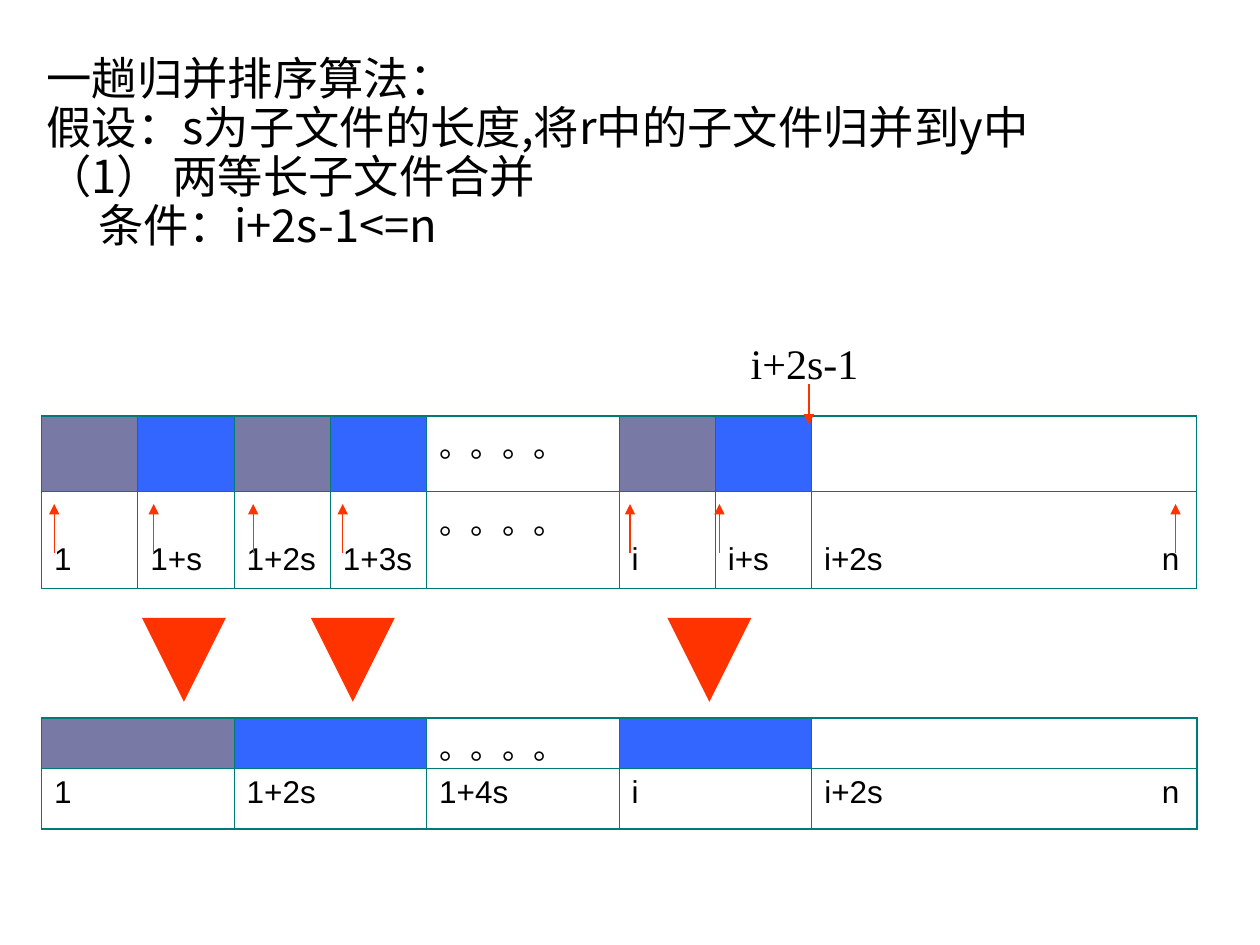
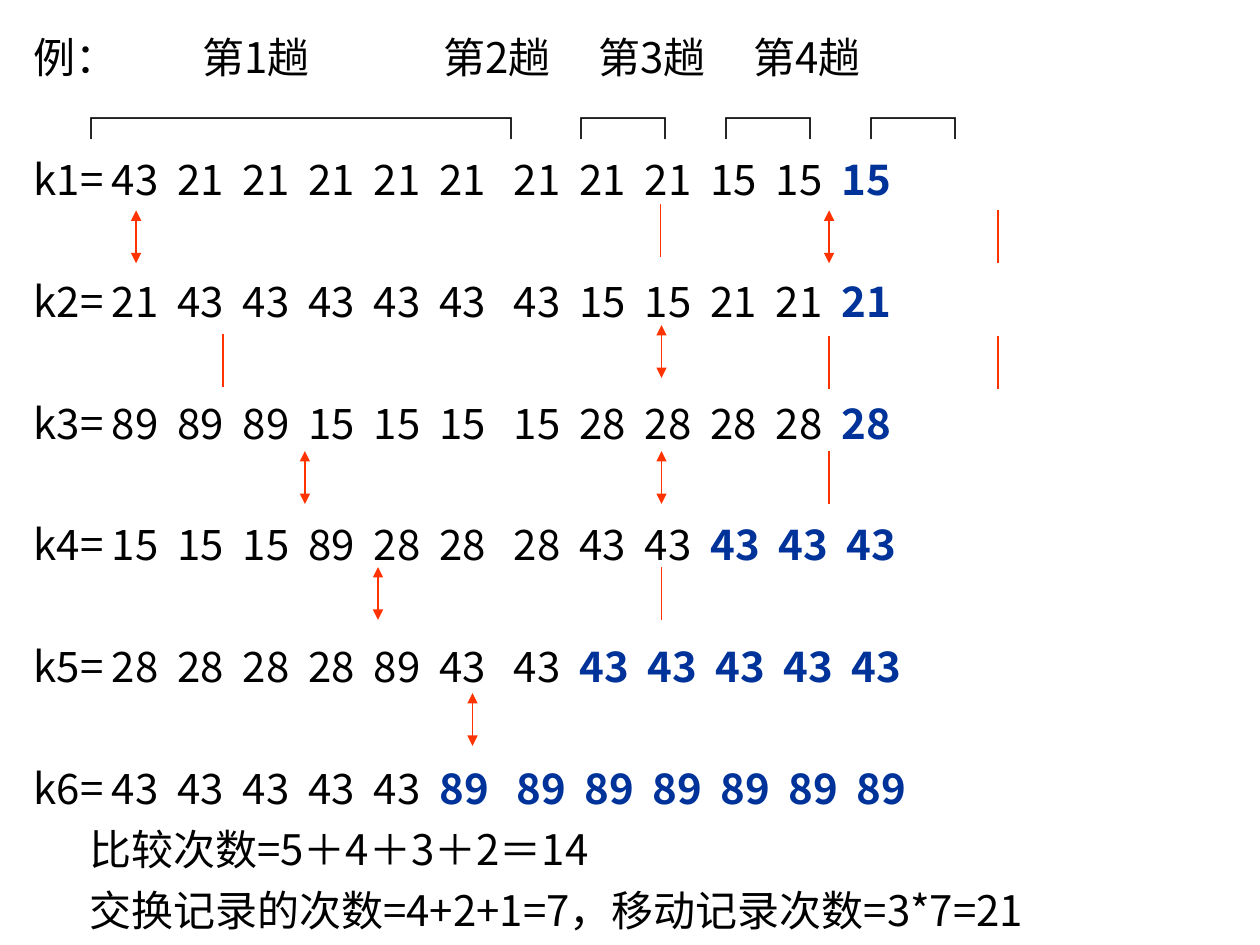
from collections import namedtuple
from dataclasses import dataclass

from lxml import etree
from pptx import Presentation
from pptx.dml.color import RGBColor as RGB
from pptx.enum.shapes import MSO_CONNECTOR as Connector
from pptx.oxml.ns import qn
from pptx.util import Inches, Pt


@dataclass(frozen=True)
class Theme:
    ink: str = "000000"
    sorted_key: str = "003399"
    arrow: str = "FF3300"
    grid: str = "007A77"
    grey: str = "7979A5"
    blue: str = "3366FF"
    cjk: str = "Noto Sans CJK SC"
    cell: str = "Arial"
    label: str = "Times New Roman"
    intro_size: float = 25.9
    body_size: float = 24
    cell_size: float = 18
    thin: float = 0.75
    fat: float = 16
    inner: float = 0.45
    outer: float = 1.08


THEME = Theme()
Box = namedtuple("Box", "left top width height")
Run = namedtuple("Run", "text color bold", defaults=(THEME.ink, False))
Line = namedtuple("Line", "runs tabs before", defaults=((), 0))


def plain(text, *tabs):
    return Line([Run(text)], tabs)


# Shared helpers
def write(frame, lines, font, size, pitch=None, margins=(0.1, 0.05, 0.1, 0.05)):
    """Fill a text frame, one Line a paragraph; pitch is an exact line height."""
    frame.word_wrap = True
    (frame.margin_left, frame.margin_top,
     frame.margin_right, frame.margin_bottom) = map(Inches, margins)
    for index, line in enumerate(lines):
        paragraph = frame.add_paragraph() if index else frame.paragraphs[0]
        if line.tabs:
            stops = etree.SubElement(paragraph._p.get_or_add_pPr(), qn("a:tabLst"))
            for stop in line.tabs:
                etree.SubElement(stops, qn("a:tab"), pos=str(Inches(stop)), algn="l")
        if pitch:
            paragraph.line_spacing = Pt(pitch)
        if line.before:
            paragraph.space_before = Pt(line.before)
        for text, color, bold in line.runs:
            run = paragraph.add_run()
            run.text = text
            run.font.name, run.font.size, run.font.bold = font, Pt(size), bold
            run.font.color.rgb = RGB.from_string(color)
            etree.SubElement(run._r.get_or_add_rPr(), qn("a:ea"), typeface=THEME.cjk)


def text_box(slide, box, lines, **text_format):
    frame = slide.shapes.add_textbox(*map(Inches, box)).text_frame
    write(frame, lines, **text_format)


def arrow(slide, x, start, end, width=THEME.thin, heads=("tailEnd",)):
    """Vertical line at x; heads names the ends that carry a triangle."""
    line = slide.shapes.add_connector(
        Connector.STRAIGHT, *map(Inches, (x, start, x, end)))
    line.line.color.rgb = RGB.from_string(THEME.arrow)
    line.line.width = Pt(width)
    for head in heads:
        etree.SubElement(line.line._get_or_add_ln(), qn("a:" + head), type="triangle")
    etree.SubElement(line._element.spPr, qn("a:effectLst"))


def set_borders(cell, widths):
    """Draw left, right, top and bottom borders ahead of the cell's fill."""
    properties = cell._tc.get_or_add_tcPr()
    for index, (side, width) in enumerate(zip("LRTB", widths)):
        border = etree.Element(qn("a:ln" + side), w=str(Pt(width)))
        fill = etree.SubElement(border, qn("a:solidFill"))
        etree.SubElement(fill, qn("a:srgbClr"), val=THEME.grid)
        properties.insert(index, border)


# Slide 1: merging equal runs
DOTS = "。。。。"
LAST_LABEL = "i+2s\tn"


def file_table(slide, box, units, row_heights, fills, labels, label_top):
    """Table of subfiles: coloured blocks above, start positions below."""
    table = slide.shapes.add_table(2, len(units), *map(Inches, box)).table
    table.first_row = table.horz_banding = False
    for column, unit in zip(table.columns, units):
        column.width = Inches(box.width * unit / sum(units))
    for row, height in zip(table.rows, row_heights):
        row.height = Inches(height)
    last = len(units) - 1
    for column in range(len(units)):
        block, position = table.cell(0, column), table.cell(1, column)
        fill, label = fills[column], labels[column]
        position.fill.background()
        if fill in (None, DOTS):
            block.fill.background()
        else:
            block.fill.solid()
            block.fill.fore_color.rgb = RGB.from_string(fill)
        for cell, text, top in (
                (block, DOTS if fill == DOTS else "", 0.04),
                (position, label, 0.05 if label == DOTS else label_top)):
            frame = cell.text_frame
            write(frame, [plain(text, *([2.68] if "\t" in text else []))],
                  THEME.cell, THEME.cell_size)
            cell.margin_left = cell.margin_right = Inches(0.1)
            cell.margin_top, cell.margin_bottom = Inches(top), 0
            on_edge = (column == 0, column == last, cell is block, cell is position)
            set_borders(cell, [THEME.outer if edge else THEME.inner for edge in on_edge])


def source_file(slide, box):
    grey, blue = THEME.grey, THEME.blue
    file_table(slide, box, [1, 1, 1, 1, 2, 1, 1, 4], [0.6, 0.77],
               [grey, blue, grey, blue, DOTS, grey, blue, None],
               ["1", "1+s", "1+2s", "1+3s", DOTS, "i", "i+s", LAST_LABEL], 0.4)
    # Pointers to the run starts
    for x in (0.1, 0.89, 1.68, 2.39, 4.67, 5.38, 9):
        arrow(slide, box.left + x, box.top + 1.09, box.top + 0.7)
    # End of the second run
    text_box(slide, Box(box.left + 5.53, box.top - 0.67, 1.18, 0.5),
             [plain("i+2s-1")], font=THEME.label, size=THEME.body_size)
    arrow(slide, box.left + 6.09, box.top - 0.25, box.top + 0.07)


def merged_file(slide, box):
    file_table(slide, box, [2, 2, 2, 2, 4], [0.4, 0.48],
               [THEME.grey, THEME.blue, DOTS, THEME.blue, None],
               ["1", "1+2s", "1+4s", "i", LAST_LABEL], 0.05)
    # Merge arrows from the source file
    for x in (1.13, 2.47, 5.3):
        arrow(slide, box.left + x, box.top - 0.68, box.top - 0.13, THEME.fat)


def merge_slide(slide):
    text_box(slide, Box(0.27, 0.39, 9.29, 1.73), [
        plain("一趟归并排序算法："),
        plain("假设：s为子文件的长度,将r中的子文件归并到y中"),
        plain("（1） 两等长子文件合并"),
        plain("\t条件：i+2s-1<=n", 0.41),
    ], font=THEME.cjk, size=THEME.intro_size, pitch=28)
    source_file(slide, Box(0.33, 3.3, 9.17, 1.37))
    merged_file(slide, Box(0.33, 5.7, 9.17, 0.88))


# Slide 2: bubble sort passes
PITCH = 34.8
KEYS = [  # keys over time, and how many at the end are in final place
    ("43 21 21 21 21 21 21 21 21 15 15 15", 1),
    ("21 43 43 43 43 43 43 15 15 21 21 21", 1),
    ("89 89 89 15 15 15 15 28 28 28 28 28", 1),
    ("15 15 15 89 28 28 28 43 43 43 43 43", 3),
    ("28 28 28 28 89 43 43 43 43 43 43 43", 5),
    ("43 43 43 43 43 89 89 89 89 89 89 89", 7),
]
SWAPS = [(1.08, 1.67), (2.42, 3.58), (3.75, 5.5), (5.25, 2.58),
         (5.25, 3.58), (6.58, 1.67), (3, 4.5)]
COMPARES = [(5.25, 4.5), (6.58, 2.67), (6.58, 3.58), (7.92, 1.67),
            (7.92, 2.67), (1.77, 2.65), (5.24, 1.62)]


def key_line(number, keys, settled):
    """One key's row; bold keys are wider, and pass 1 ends after six keys."""
    keys = keys.split()
    moving = len(keys) - settled
    tabs, x = [], 0.62
    for index in range(len(keys)):
        tabs.append(x)
        x += (0.52 if index < moving else 0.54) + (0.07 if index == 5 else 0)
    return Line([Run("\t".join([f"k{number}="] + keys[:moving]) + "\t"),
                 Run("\t".join(keys[moving:]), THEME.sorted_key, True)],
                tabs, PITCH if number > 1 else 0)


def trace(slide, box):
    passes = "\t".join(f"第{number}趟" for number in range(1, 5))
    brackets = "\t".join(["┌─────────┐"] + ["┌─┐"] * 3)
    lines = [plain("例：\t" + passes, 1.34, *(3.25 + 1.23 * i for i in range(3))),
             plain("\t" + brackets, 0.29, *(4.18 + 1.15 * i for i in range(3)))]
    lines += [key_line(number, *row) for number, row in enumerate(KEYS, 1)]
    lines += [plain("\t" + total, 0.44) for total in (
        "比较次数=5＋4＋3＋2＝14",
        "交换记录的次数=4+2+1=7，移动记录次数=3*7=21")]
    text_box(slide, box, lines, font=THEME.cjk, size=THEME.body_size,
             pitch=PITCH, margins=(0.1, 0, 0.1, 0))


def comparisons(slide, box):
    for places, heads in ((SWAPS, ("headEnd", "tailEnd")), (COMPARES, ())):
        for x, top in places:
            start = box.top + top - 0.17
            arrow(slide, box.left + x - 0.17, start, start + 0.42, heads=heads)


def bubble_slide(slide):
    box = Box(0.17, 0.17, 9.83, 7.33)
    trace(slide, box)
    comparisons(slide, box)


def main():
    deck = Presentation()
    deck.slide_width, deck.slide_height = Inches(10), Inches(7.5)
    for build in (merge_slide, bubble_slide):
        build(deck.slides.add_slide(deck.slide_layouts[6]))
    deck.save("out.pptx")


if __name__ == "__main__":
    main()
